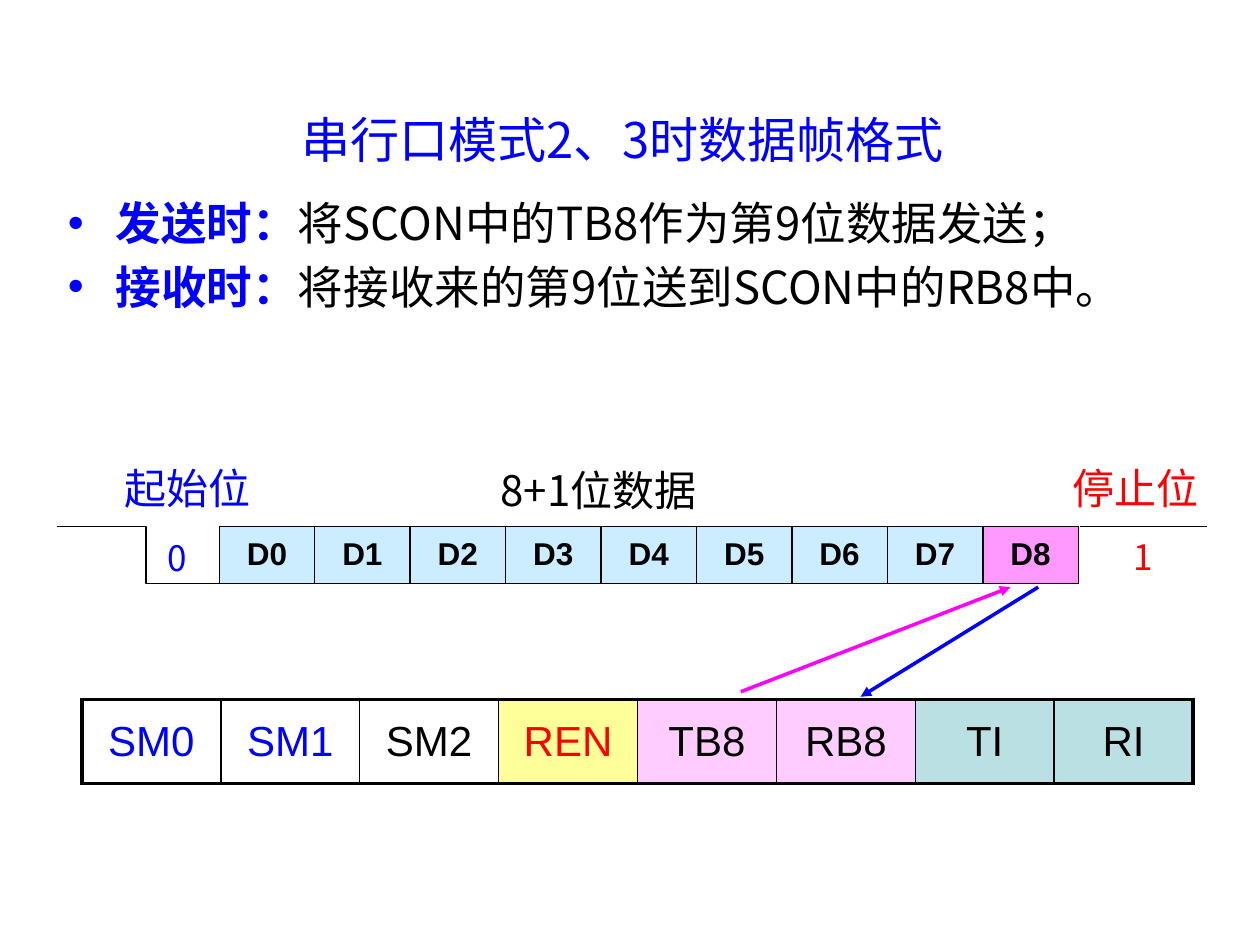
from dataclasses import dataclass

from lxml import etree
from pptx import Presentation
from pptx import util as u
from pptx.dml.color import RGBColor
from pptx.enum import shapes, text
from pptx.oxml.ns import qn


@dataclass(frozen=True)
class Theme:
    cjk: str = "Noto Sans CJK SC"
    latin: str = "Arial"
    black: str = "000000"
    blue: str = "0000FF"
    red: str = "FF0000"
    magenta: str = "FF00FF"
    sky: str = "CCECFF"
    pink: str = "FF99FF"
    pale_pink: str = "FFCCFF"
    yellow: str = "FFFF99"
    teal: str = "BBE0E3"
    title: int = 28
    body: int = 26
    label: int = 24
    bit: int = 20
    frame: int = 18


class SlideBuilder:
    def __init__(self, page, theme):
        self.page = page
        self.theme = theme

    def add_run(self, para, words, size, color, font=None, bold=False):
        span = para.add_run()
        span.text = words
        span.font.name = font or self.theme.cjk
        span.font.size = u.Pt(size)
        span.font.bold = bold
        span.font.color.rgb = RGBColor.from_string(color)
        # East Asian characters need their own typeface entry
        east_asian = etree.SubElement(span.font._element, qn("a:ea"))
        east_asian.set("typeface", font or self.theme.cjk)

    def place(self, shape, left, top, width, height):
        shape.left, shape.top = u.Inches(left), u.Inches(top)
        shape.width, shape.height = u.Inches(width), u.Inches(height)

    def title(self, words, *area):
        box = self.page.shapes.title
        self.place(box, *area)
        box.text_frame.vertical_anchor = text.MSO_ANCHOR.MIDDLE
        para = box.text_frame.paragraphs[0]
        para.alignment = text.PP_ALIGN.CENTER
        self.add_run(para, words, self.theme.title, self.theme.blue)

    def text_box(self, *area, wrap=True):
        box = self.page.shapes.add_textbox(*(u.Inches(n) for n in area))
        box.text_frame.word_wrap = wrap
        return box.text_frame

    def bullets(self, items, *area):
        frame = self.text_box(*area)
        for index, (lead, rest) in enumerate(items):
            para = frame.paragraphs[0] if index == 0 else frame.add_paragraph()
            if index:
                para.space_before = u.Pt(0.2 * self.theme.body)
            props = para._p.get_or_add_pPr()
            props.set("marL", str(u.Inches(0.38)))
            props.set("indent", str(-u.Inches(0.38)))
            color = etree.SubElement(props, qn("a:buClr"))
            etree.SubElement(color, qn("a:srgbClr")).set("val", self.theme.blue)
            etree.SubElement(props, qn("a:buFont")).set("typeface", self.theme.latin)
            etree.SubElement(props, qn("a:buChar")).set("char", "•")
            self.add_run(para, lead, self.theme.body, self.theme.blue, bold=True)
            self.add_run(para, rest, self.theme.body, self.theme.black)

    def label(self, words, color, *area):
        frame = self.text_box(*area, wrap=False)
        frame.margin_left = frame.margin_right = 0
        frame.vertical_anchor = text.MSO_ANCHOR.MIDDLE
        para = frame.paragraphs[0]
        para.alignment = text.PP_ALIGN.CENTER
        self.add_run(para, words, self.theme.label, color)

    def bit(self, digit, color, *area):
        frame = self.text_box(*area)
        self.add_run(frame.paragraphs[0], digit, self.theme.bit, color)

    def line(self, start, end, color, weight, elbow=False, arrow=False):
        kind = shapes.MSO_CONNECTOR.ELBOW if elbow else shapes.MSO_CONNECTOR.STRAIGHT
        ends = (u.Inches(n) for n in (*start, *end))
        link = self.page.shapes.add_connector(kind, *ends)
        link.line.color.rgb = RGBColor.from_string(color)
        link.line.width = u.Pt(weight)
        if arrow:
            outline = link.line._get_or_add_ln()
            etree.SubElement(outline, qn("a:tailEnd")).set("type", "triangle")
        etree.SubElement(link._element.spPr, qn("a:effectLst"))

    def border(self, cell, side, weight):
        edge = etree.SubElement(cell._tc.get_or_add_tcPr(), qn(f"a:ln{side}"))
        edge.set("w", str(u.Pt(weight)))
        fill = etree.SubElement(edge, qn("a:solidFill"))
        etree.SubElement(fill, qn("a:srgbClr")).set("val", self.theme.black)

    def bit_row(self, cells, area, size, outer, inner=1, bold=False):
        """Draw one row of (name, text colour, fill) cells of equal width."""
        holder = self.page.shapes.add_table(1, len(cells), *(u.Inches(n) for n in area))
        table = holder.table
        table.first_row = table.horz_banding = False
        last = len(cells) - 1
        for index, (name, color, fill) in enumerate(cells):
            table.columns[index].width = u.Inches(area[2] / len(cells))
            cell = table.cell(0, index)
            self.border(cell, "L", outer if index == 0 else inner)
            self.border(cell, "R", outer if index == last else inner)
            self.border(cell, "T", outer)
            self.border(cell, "B", outer)
            if fill:
                cell.fill.solid()
                cell.fill.fore_color.rgb = RGBColor.from_string(fill)
            else:
                cell.fill.background()
            cell.vertical_anchor = text.MSO_ANCHOR.MIDDLE
            para = cell.text_frame.paragraphs[0]
            para.alignment = text.PP_ALIGN.CENTER
            self.add_run(para, name, size, color, self.theme.latin, bold)


def main():
    deck = Presentation()
    deck.slide_width, deck.slide_height = u.Inches(10), u.Inches(7.5)
    theme = Theme()
    slide = SlideBuilder(deck.slides.add_slide(deck.slide_layouts[5]), theme)

    # Title and explanation
    slide.title("串行口模式2、3时数据帧格式", 0.44, 0.68, 9, 0.85)
    slide.bullets([
        ("发送时：", "将SCON中的TB8作为第9位数据发送；"),
        ("接收时：", "将接收来的第9位送到SCON中的RB8中。"),
    ], 0.44, 1.5, 8.87, 1.41)

    # Transfers between D8 and the control register
    slide.line((8.24, 4.66), (6.83, 5.53), theme.blue, 2, arrow=True)
    slide.line((5.88, 5.49), (8.02, 4.66), theme.magenta, 2, arrow=True)

    # Data frame between the start and stop levels
    slide.line((0.45, 4.18), (1.87, 4.63), theme.black, 0.75, elbow=True)
    data_bits = [(f"D{n}", theme.black, theme.sky) for n in range(8)]
    data_bits.append(("D8", theme.black, theme.pink))
    slide.bit_row(data_bits, (1.74, 4.18, 6.82, 0.45), theme.frame, outer=0.5, bold=True)
    slide.line((8.57, 4.18), (9.58, 4.18), theme.black, 0.75)

    # Frame labels and bit levels
    slide.label("起始位", theme.blue, 0.59, 3.66, 1.8, 0.43)
    slide.label("8+1位数据", theme.black, 3.88, 3.69, 1.74, 0.39)
    slide.label("停止位", theme.red, 8.3, 3.66, 1.42, 0.43)
    slide.bit("0", theme.blue, 1.23, 4.21, 0.51, 0.43)
    slide.bit("1", theme.red, 8.9, 4.2, 0.46, 0.43)

    # SCON register
    slide.bit_row([
        ("SM0", theme.blue, None),
        ("SM1", theme.blue, None),
        ("SM2", theme.black, None),
        ("REN", theme.red, theme.yellow),
        ("TB8", theme.black, theme.pale_pink),
        ("RB8", theme.black, theme.pale_pink),
        ("TI", theme.black, theme.teal),
        ("RI", theme.black, theme.teal),
    ], (0.65, 5.55, 8.82, 0.67), theme.label, outer=2.25)

    deck.save("out.pptx")


if __name__ == "__main__":
    main()
